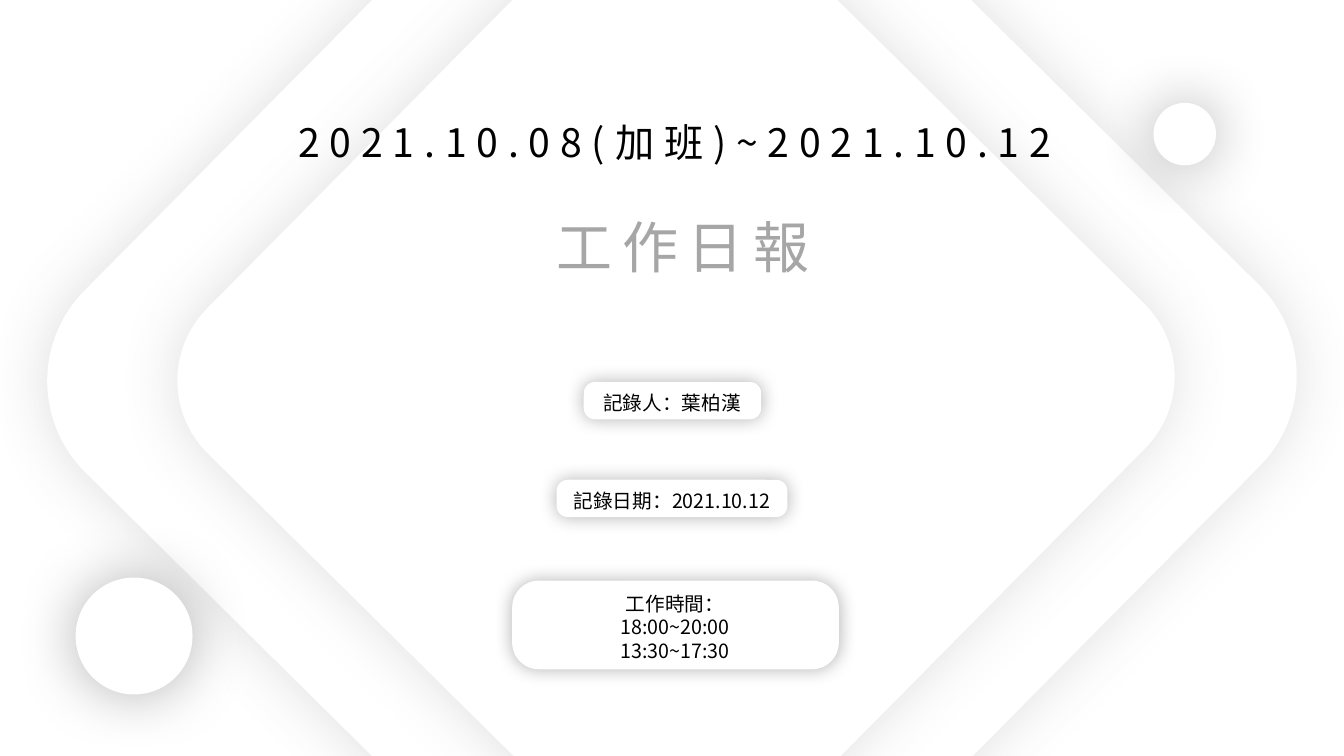
from lxml.etree import SubElement
from pptx import Presentation
from pptx.dml.color import RGBColor
from pptx.enum.shapes import MSO_SHAPE
from pptx.enum.text import MSO_ANCHOR, MSO_AUTO_SIZE, PP_ALIGN
from pptx.oxml.ns import qn
from pptx.util import Inches, Pt

FONT = "Noto Sans CJK SC"
WHITE, BLACK, GREY, SOFT = "FFFFFF", "000000", "A6A6A6", "595959"


def colour(value):
    return RGBColor.from_string(value)


def apply(target, values):
    for name, value in values.items():
        setattr(target, name, value)


def add_glow(shape, shade, opacity, blur):
    """Give a shape a soft shadow with no offset."""
    shape.shadow.inherit = False
    effects = shape._element.spPr.find(qn("a:effectLst"))
    shadow = SubElement(effects, qn("a:outerShdw"), blurRad=str(Pt(blur)),
                        dist="0", dir="0", algn="ctr", rotWithShape="0")
    tone = SubElement(shadow, qn("a:srgbClr"), val=shade)
    SubElement(tone, qn("a:alpha"), val=str(opacity * 1000))


def add_panel(shapes, kind, place, shade, opacity, blur, corner=None, turn=0):
    panel = shapes.add_shape(kind, *map(Inches, place))
    panel.fill.solid()
    panel.fill.fore_color.rgb = colour(WHITE)
    panel.line.fill.background()
    panel.rotation = turn
    if corner is not None:
        panel.adjustments[0] = corner
    add_glow(panel, shade, opacity, blur)


def write(box, place, lines, size, ink=BLACK, spacing=0):
    apply(box, dict(zip(("left", "top", "width", "height"), map(Inches, place))))
    frame = box.text_frame
    apply(frame, {
        "word_wrap": True, "auto_size": MSO_AUTO_SIZE.NONE,
        "vertical_anchor": MSO_ANCHOR.TOP,
        "margin_left": Inches(0.1), "margin_right": Inches(0.1),
        "margin_top": Inches(0.05) + Pt(0.09 * size), "margin_bottom": 0,
    })
    for index, line in enumerate(lines):
        para = frame.add_paragraph() if index else frame.paragraphs[0]
        apply(para, {"alignment": PP_ALIGN.CENTER, "space_before": Pt(0),
                     "line_spacing": Pt(1.2 * size)})
        span = para.add_run()
        span.text = line
        apply(span.font, {"size": Pt(size), "name": FONT, "bold": False})
        span.font.color.rgb = colour(ink)
        props = span.font._element
        SubElement(props, qn("a:ea"), typeface=FONT)
        if spacing:
            props.set("spc", str(spacing * 100))


def add_heading(page, placeholder, place, line, size, ink):
    # Bring the placeholder in front of the diamonds
    page.shapes._spTree.append(placeholder._element)
    write(placeholder, place, [line], size, ink, spacing=7)


def add_label(page, panel_place, text_place, lines):
    group = page.shapes.add_group_shape()
    add_panel(group.shapes, MSO_SHAPE.ROUNDED_RECTANGLE, panel_place,
              BLACK, 30, 13, corner=0.302)
    box = group.shapes.add_textbox(*map(Inches, text_place))
    write(box, text_place, lines, 14)


def main():
    deck = Presentation()
    apply(deck, {"slide_width": Inches(13.33), "slide_height": Inches(7.5)})
    page = deck.slides.add_slide(deck.slide_layouts[0])
    page.background.fill.solid()
    page.background.fill.fore_color.rgb = colour(WHITE)

    # Large diamonds
    for left, top, side in ((1.91, -1, 9.51), (2.91, -0.04, 7.59)):
        add_panel(page.shapes, MSO_SHAPE.ROUNDED_RECTANGLE,
                  (left, top, side, side), SOFT, 19, 43, corner=0.134, turn=44.7)

    # Headings
    title, subtitle = page.placeholders
    add_heading(page, title, (2.66, 1.09, 8.07, 0.57),
                "2021.10.08(加班)~2021.10.12", 28, BLACK)
    add_heading(page, subtitle, (4.4, 2.01, 4.75, 0.77), "工作日報", 40, GREY)

    # Circles
    for left, top, side in ((0.75, 5.73, 1.16), (11.44, 1.02, 0.62)):
        add_panel(page.shapes, MSO_SHAPE.OVAL, (left, top, side, side),
                  BLACK, 30, 43)

    # Labels
    add_label(page, (5.79, 3.79, 1.76, 0.37), (5.62, 3.81, 2.09, 0.34),
              ["記錄人：葉柏漢"])
    add_label(page, (5.52, 4.76, 2.29, 0.37), (5.46, 4.78, 2.41, 0.34),
              ["記錄日期：2021.10.12"])
    add_label(page, (5.08, 5.76, 3.24, 0.88), (4.99, 5.8, 3.41, 0.81),
              ["工作時間：", "18:00~20:00", "13:30~17:30"])

    deck.save("out.pptx")


if __name__ == "__main__":
    main()
